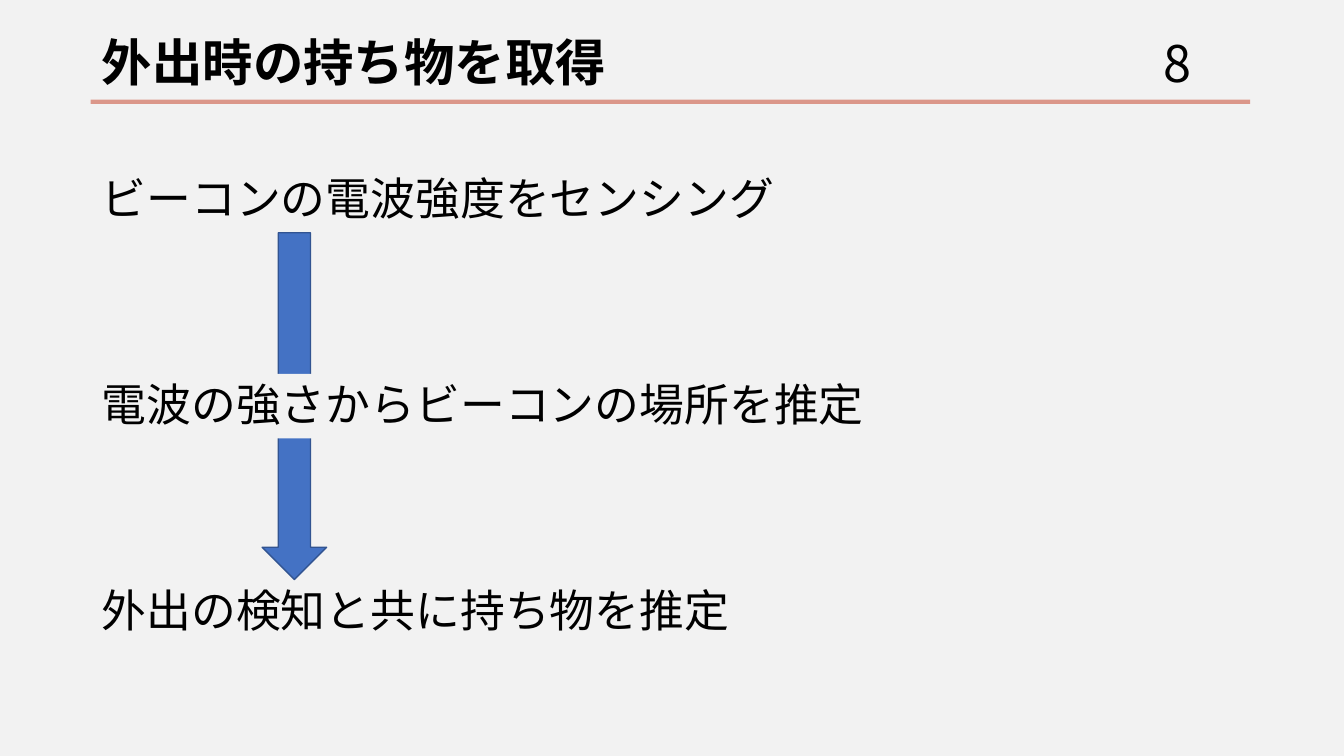
from lxml import etree
from pptx import Presentation
from pptx import util as u
from pptx.dml.color import RGBColor
from pptx.enum import shapes, text
from pptx.oxml.ns import qn

FONT = "Noto Sans CJK JP"
BACKGROUND, INK = "F2F2F2", "000000"
RULE, ARROW, ARROW_EDGE = "C53E23", "4472C4", "325491"


def color(hex_value):
    return RGBColor.from_string(hex_value)


class FlowSlide:
    """Holds the style and the slide being built."""

    def __init__(self, prs):
        self.slide = prs.slides.add_slide(prs.slide_layouts[5])
        self.shapes = self.slide.shapes
        fill = self.slide.background.fill
        fill.solid()
        fill.fore_color.rgb = color(BACKGROUND)

    def set_text(self, shape, content, size, bold=False, spacing=1.0,
                 align=text.PP_ALIGN.LEFT):
        frame = shape.text_frame
        frame.text = content
        frame.word_wrap = False
        frame.auto_size = text.MSO_AUTO_SIZE.NONE
        frame.vertical_anchor = text.MSO_ANCHOR.MIDDLE
        frame.margin_top = frame.margin_bottom = 0
        paragraph = frame.paragraphs[0]
        paragraph.alignment = align
        paragraph.line_spacing = spacing
        font = paragraph.runs[0].font
        font.name, font.size, font.bold = FONT, u.Pt(size), bold
        font.color.rgb = color(INK)
        # East Asian typeface
        latin = font._element.find(qn("a:latin"))
        east_asian = etree.Element(qn("a:ea"), typeface=FONT)
        latin.addnext(east_asian)

    def title(self, content, box):
        heading = self.shapes.title
        heading.left, heading.top, heading.width, heading.height = map(u.Inches, box)
        self.set_text(heading, content, 36, bold=True, spacing=1.4)

    def label(self, content, box, size, **style):
        self.set_text(self.shapes.add_textbox(*map(u.Inches, box)), content, size, **style)

    def block(self, kind, box, fill, edge=None):
        shape = self.shapes.add_shape(kind, *map(u.Inches, box))
        shape.shadow.inherit = False
        shape.fill.solid()
        shape.fill.fore_color.rgb = color(fill)
        if edge:
            shape.line.color.rgb = color(edge)
            shape.line.width = u.Pt(1)
        else:
            shape.line.fill.background()
        return shape

    def rule(self, start, end, y, tint, opacity):
        line = self.shapes.add_connector(
            shapes.MSO_CONNECTOR.STRAIGHT,
            u.Inches(start), u.Inches(y), u.Inches(end), u.Inches(y))
        line.line.color.rgb = color(tint)
        line.line.width = u.Pt(3)
        properties = line._element.spPr
        tone = properties.find(".//" + qn("a:srgbClr"))
        etree.SubElement(tone, qn("a:alpha"), val=str(opacity * 1000))
        etree.SubElement(properties, qn("a:effectLst"))


def main():
    prs = Presentation()
    prs.slide_width, prs.slide_height = u.Inches(13.33), u.Inches(7.5)
    page = FlowSlide(prs)
    left, step_height = 0.91, 0.64
    first_top, pitch = 1.67, 2.04

    # Header
    page.rule(0.9, 12.4, 1.01, RULE, 50)
    page.title("外出時の持ち物を取得", (left, 0, 11.5, 0.98))
    page.label("8", (8.92, 0.42, 3, 0.4), 36, align=text.PP_ALIGN.RIGHT)

    # Arrow from the first step to the last
    arrow_top = first_top + step_height
    arrow_length = 2 * pitch - step_height
    page.block(shapes.MSO_SHAPE.DOWN_ARROW,
               (2.6, arrow_top, 0.64, arrow_length), ARROW, ARROW_EDGE)

    # Steps; the middle one covers the arrow
    steps = [("ビーコンの電波強度をセンシング", 7.05, False),
             ("電波の強さからビーコンの場所を推定", 7.83, True),
             ("外出の検知と共に持ち物を推定", 6.67, False)]
    for index, (content, width, covers_arrow) in enumerate(steps):
        box = (left, first_top + index * pitch, width, step_height)
        if covers_arrow:
            step = page.block(shapes.MSO_SHAPE.RECTANGLE, box, BACKGROUND)
            page.set_text(step, content, 32, spacing=0.95)
        else:
            page.label(content, box, 32, spacing=0.95)

    prs.save("out.pptx")


if __name__ == "__main__":
    main()
